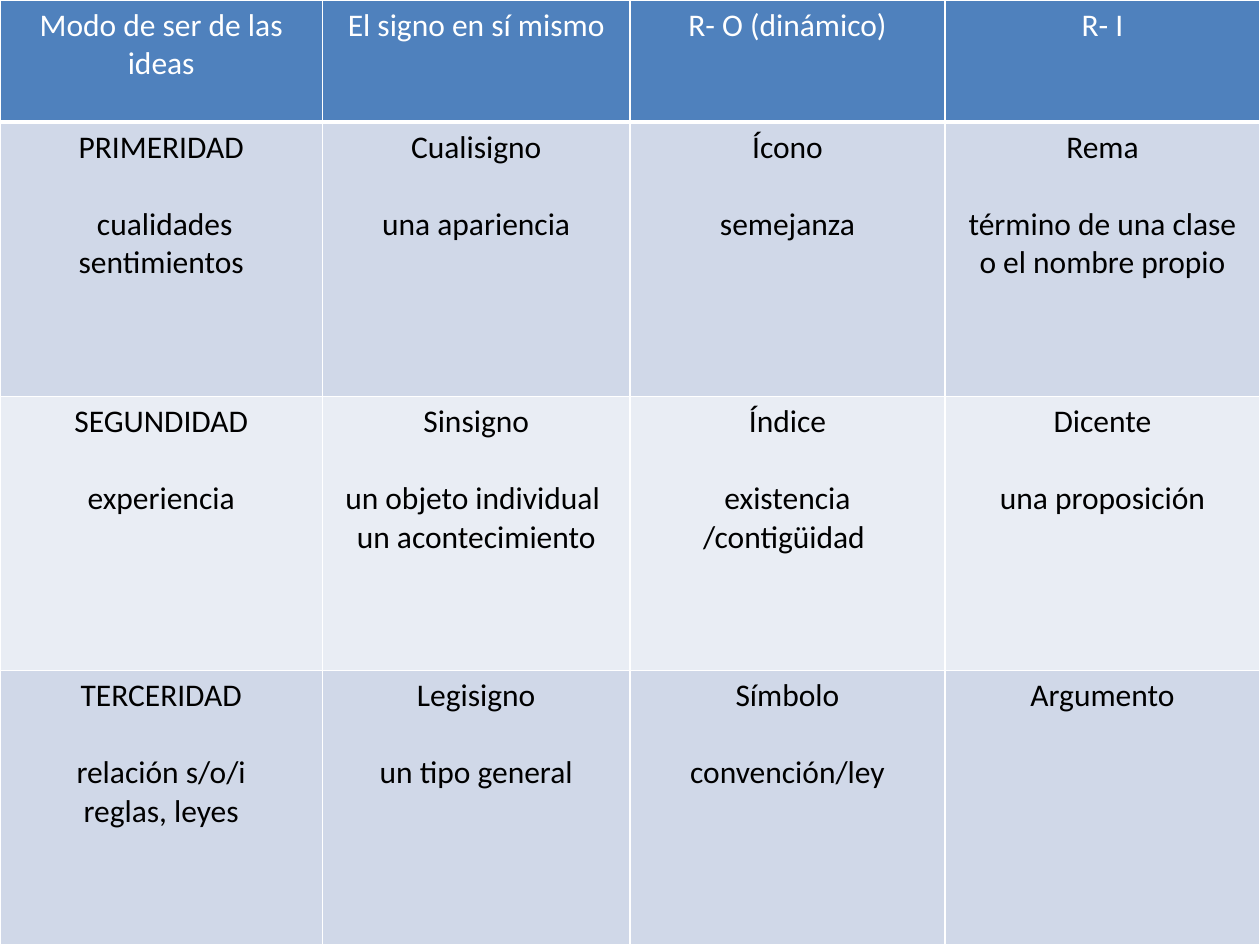
from lxml.etree import SubElement
from pptx import Presentation
from pptx.dml.color import RGBColor
from pptx.enum.text import PP_ALIGN as Align
from pptx.oxml.ns import qn
from pptx.util import Cm, Pt

WHITE = RGBColor(0xFF, 0xFF, 0xFF)
BLACK = RGBColor(0x00, 0x00, 0x00)
BLUE = RGBColor(0x4F, 0x81, 0xBD)
BAND_DARK = RGBColor(0xD0, 0xD8, 0xE8)
BAND_LIGHT = RGBColor(0xE9, 0xED, 0xF4)

COL_WIDTHS = [6.5, 6.2, 6.35, 6.35]
ROW_HEIGHTS = [2.46, 5.53, 5.53, 5.53]

ROWS = [
    [["Modo de ser de las ideas"], ["El signo en sí mismo"],
     ["R- O (dinámico)"], ["R- I"]],
    [["PRIMERIDAD", " cualidades", "sentimientos"],
     ["Cualisigno", "una apariencia"],
     ["Ícono", "semejanza"],
     ["Rema", "término de una clase", "o el nombre propio"]],
    [["SEGUNDIDAD", "experiencia"],
     ["Sinsigno", "un objeto individual ", "un acontecimiento"],
     ["Índice", "existencia /contigüidad "],
     ["Dicente", "una proposición"]],
    [["TERCERIDAD", "relación s/o/i", "reglas, leyes"],
     ["Legisigno", "un tipo general"],
     ["Símbolo", "convención/ley"],
     ["Argumento"]],
]


class Deck:
    font = {"name": "Calibri", "size": Pt(18), "bold": False}
    heading_gap = Pt(22)

    def __init__(self, prs):
        self.s = prs.slides.add_slide(prs.slide_layouts[6])

    def borders(self, cell, bottom):
        tcPr = cell._tc.get_or_add_tcPr()
        for side, width in {"L": 1, "R": 1, "T": 1, "B": bottom}.items():
            ln = SubElement(tcPr, qn(f"a:ln{side}"), w=str(Pt(width)))
            fill = SubElement(ln, qn("a:solidFill"))
            SubElement(fill, qn("a:srgbClr"), val=str(WHITE))

    def text(self, tf, lines, color):
        for i, line in enumerate(lines):
            p = tf.paragraphs[0] if i == 0 else tf.add_paragraph()
            p.alignment = Align.CENTER
            if i == 0 and len(lines) > 1:
                p.space_after = self.heading_gap
            r = p.add_run()
            r.text = line
            for key, value in self.font.items():
                setattr(r.font, key, value)
            r.font.color.rgb = color

    def table(self, rows, widths, heights):
        size = Cm(sum(widths)), Cm(sum(heights))
        tbl = self.s.shapes.add_table(len(rows), len(widths), 0, 0, *size).table
        for col, width in zip(tbl.columns, widths):
            col.width = Cm(width)
        for i, (row, height) in enumerate(zip(tbl.rows, heights)):
            row.height = Cm(height)
            header = i == 0
            fill = BLUE if header else (BAND_LIGHT, BAND_DARK)[i % 2]
            for cell, lines in zip(row.cells, rows[i]):
                self.borders(cell, 3 if header else 1)
                cell.fill.solid()
                cell.fill.fore_color.rgb = fill
                self.text(cell.text_frame, lines, WHITE if header else BLACK)


def main():
    prs = Presentation()
    prs.slide_width, prs.slide_height = Cm(25.4), Cm(19.05)
    Deck(prs).table(ROWS, COL_WIDTHS, ROW_HEIGHTS)
    prs.save("out.pptx")


if __name__ == "__main__":
    main()
